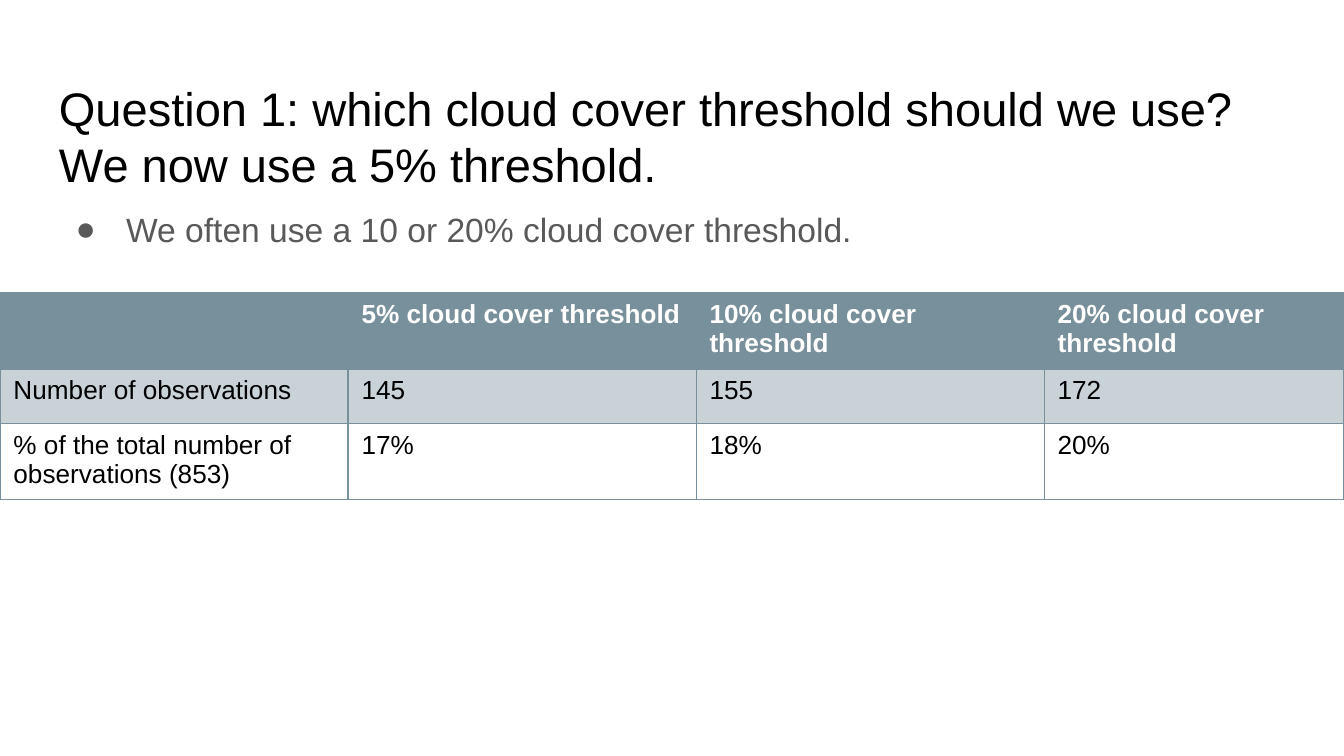
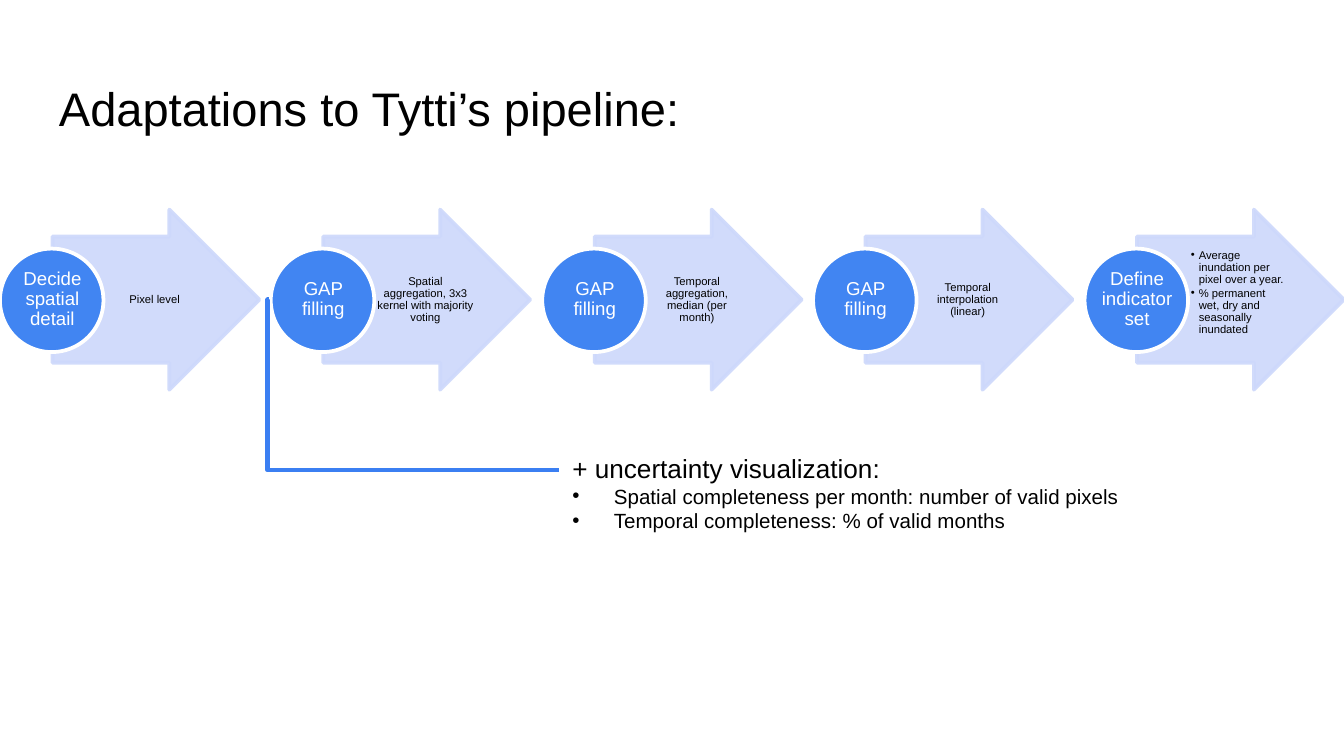
from dataclasses import dataclass
from typing import NamedTuple

from lxml.etree import SubElement
from pptx import Presentation
from pptx.dml.color import RGBColor
from pptx.enum.shapes import MSO_CONNECTOR, MSO_SHAPE
from pptx.enum.text import MSO_ANCHOR, PP_ALIGN
from pptx.oxml.ns import qn
from pptx.util import Emu, Pt

SCALE = 4572


@dataclass(frozen=True)
class Theme:
    font: str = "Arial"
    ink: str = "000000"
    paper: str = "FFFFFF"
    gray: str = "595959"
    slate: str = "78909C"
    pale: str = "CDD8FB"
    blue: str = "4185F2"
    link: str = "3B7FF2"
    title: float = 25.2
    body: int = 18
    lead: int = 14
    note: int = 11
    label: int = 10
    tiny: int = 6


class Box(NamedTuple):
    left: int
    top: int
    width: int
    height: int


class Step(NamedTuple):
    label: str
    notes: tuple[str, ...]
    listed: bool = False


THEME = Theme()
TITLE = Box(68, 98, 1864, 126)
BODY = Box(68, 282, 1864, 748)
NOTE = Box(832, 663, 1132, 142)
LAST = 1614

COLUMNS = (518, 518, 518, 446)
HEIGHTS = (107, 81, 108)
TABLE = Box(0, 436, sum(COLUMNS), sum(HEIGHTS))
ROWS = (
    ("", "5% cloud cover threshold", "10% cloud cover threshold", "20% cloud cover threshold"),
    ("Number of observations", "145", "155", "172"),
    ("% of the total number of observations (853)", "17%", "18%", "20%"),
)
STEPS = (
    Step("Decide spatial detail", ("Pixel level",)),
    Step("GAP filling", ("Spatial aggregation, 3x3 kernel with majority voting",)),
    Step("GAP filling", ("Temporal aggregation, median (per month)",)),
    Step("GAP filling", ("Temporal interpolation (linear)",)),
    Step(
        "Define indicator set",
        ("Average inundation per pixel over a year.",
         "% permanent wet, dry and seasonally inundated"),
        True,
    ),
)


def px(length: int) -> Emu:
    return Emu(length * SCALE)


def place(box: Box) -> list[Emu]:
    return [px(length) for length in box]


def paint(parent, color: str) -> None:
    fill = SubElement(parent, qn("a:solidFill"))
    SubElement(fill, qn("a:srgbClr"), val=color)


def fade(fill, color: str, alpha: int) -> None:
    fill.solid()
    fill.fore_color.rgb = RGBColor.from_string(color)
    if alpha < 100:
        tone = fill._xPr.find(qn("a:solidFill"))[0]
        SubElement(tone, qn("a:alpha"), val=str(alpha * 1000))


def write(frame, text: str, *, size: float, color: str = THEME.ink, bold: bool = False,
          align=None, spacing: float | None = None, before: float = 0,
          bullet: str = "", indent: int = 0, hang: int = 0) -> None:
    para = frame.paragraphs[0]
    if para.runs:
        para = frame.add_paragraph()
        para.space_before = Pt(before)
    if bullet:
        props = para._p.get_or_add_pPr()
        props.set("marL", str(px(indent)))
        props.set("indent", str(px(-hang)))
        tint = SubElement(props, qn("a:buClr"))
        SubElement(tint, qn("a:srgbClr"), val=color)
        SubElement(props, qn("a:buFont"), typeface=THEME.font)
        SubElement(props, qn("a:buChar"), char=bullet)
    if align is not None:
        para.alignment = align
    if spacing:
        para.line_spacing = spacing
    run = para.add_run()
    run.text = text
    run.font.name = THEME.font
    run.font.size = Pt(size)
    run.font.bold = bold
    run.font.color.rgb = RGBColor.from_string(color)


def frame(slide, box: Box, pad: Box, anchor=MSO_ANCHOR.TOP):
    area = slide.shapes.add_textbox(*place(box)).text_frame
    area.word_wrap = True
    area.vertical_anchor = anchor
    (area.margin_left, area.margin_top,
     area.margin_right, area.margin_bottom) = place(pad)
    return area


def shape(slide, kind, box: Box, fill: str, line: str, alpha: int = 100):
    item = slide.shapes.add_shape(kind, *place(box))
    item.shadow.inherit = False
    fade(item.fill, fill, alpha)
    fade(item.line.fill, line, alpha)
    item.line.width = Pt(2)
    return item


def start(deck, title: str):
    slide = deck.slides.add_slide(deck.slide_layouts[6])
    write(frame(slide, TITLE, Box(20, 20, 20, 20)), title, size=THEME.title)
    return slide


def edge(cell, floor: str) -> None:
    props = cell._tc.get_or_add_tcPr()
    tones = (THEME.slate, THEME.slate, THEME.slate, floor)
    for index, (side, tone) in enumerate(zip(("lnL", "lnR", "lnT", "lnB"), tones)):
        line = SubElement(props, qn(f"a:{side}"), w=str(Pt(0.75)))
        paint(line, tone)
        props.insert(index, line)


def grid(slide) -> None:
    table = slide.shapes.add_table(len(ROWS), len(COLUMNS), *place(TABLE)).table
    table.horz_banding = False
    for column, width in zip(table.columns, COLUMNS):
        column.width = px(width)
    for index, (row, height, words) in enumerate(zip(table.rows, HEIGHTS, ROWS)):
        row.height = px(height)
        head = index == 0
        for cell, text in zip(row.cells, words):
            if index < 2:
                fade(cell.fill, THEME.slate, 100 if head else 40)
            else:
                cell.fill.background()
            edge(cell, THEME.paper if head else THEME.slate)
            if text:
                write(cell.text_frame, text, size=THEME.lead, bold=head,
                      color=THEME.paper if head else THEME.ink)


def stage(slide, step: Step, left: int) -> None:
    arrow = shape(slide, MSO_SHAPE.RIGHT_ARROW, Box(left + 78, 312, 308, 268),
                  THEME.pale, THEME.pale, 90)
    arrow.adjustments[0] = 0.7
    arrow.adjustments[1] = 0.5
    pad = Box(4, 0, 2, 20 if step.listed else 0)
    area = frame(slide, Box(left + 154, 352, 150, 188), pad, MSO_ANCHOR.MIDDLE)
    style = (dict(bullet="•", indent=12, hang=12, before=0.9) if step.listed
             else dict(align=PP_ALIGN.CENTER))
    for note in step.notes:
        write(area, note, size=THEME.tiny, spacing=0.9, **style)
    shape(slide, MSO_SHAPE.OVAL, Box(left, 370, 154, 154), THEME.blue, THEME.paper)
    area = frame(slide, Box(left + 21, 392, 114, 108), Box(2, 2, 2, 2), MSO_ANCHOR.MIDDLE)
    write(area, step.label, size=THEME.label, color=THEME.paper,
          align=PP_ALIGN.CENTER, spacing=0.9)


def elbow(slide) -> None:
    line = slide.shapes.add_connector(MSO_CONNECTOR.ELBOW, px(832), px(700), px(400), px(446))
    line.line.color.rgb = RGBColor.from_string(THEME.link)
    line.line.width = Pt(2.25)
    props = line._element.spPr
    SubElement(props, qn("a:effectLst"))
    guides = props.find(qn("a:prstGeom")).find(qn("a:avLst"))
    SubElement(guides, qn("a:gd"), name="adj1", fmla="val 100400")


def cloud(deck) -> None:
    slide = start(deck, "Question 1: which cloud cover threshold should we use? "
                        "We now use a 5% threshold.")
    write(frame(slide, BODY, Box(20, 20, 20, 20)),
          "We often use a 10 or 20% cloud cover threshold.",
          size=THEME.body, color=THEME.gray, spacing=1.15, bullet="●", indent=100, hang=75)
    grid(slide)


def flow(deck) -> None:
    slide = start(deck, "Adaptations to Tytti’s pipeline:")
    for index, step in enumerate(STEPS):
        stage(slide, step, LAST * index // (len(STEPS) - 1))
    area = frame(slide, NOTE, Box(20, 10, 20, 10))
    write(area, "+ uncertainty visualization:", size=THEME.lead)
    for text in ("Spatial completeness per month: number of valid pixels",
                 "Temporal completeness: % of valid months"):
        write(area, text, size=THEME.note, bullet="•", indent=62, hang=62)
    elbow(slide)


def main() -> None:
    deck = Presentation()
    deck.slide_width = px(2000)
    deck.slide_height = px(1125)
    cloud(deck)
    flow(deck)
    deck.save("out.pptx")


if __name__ == "__main__":
    main()
